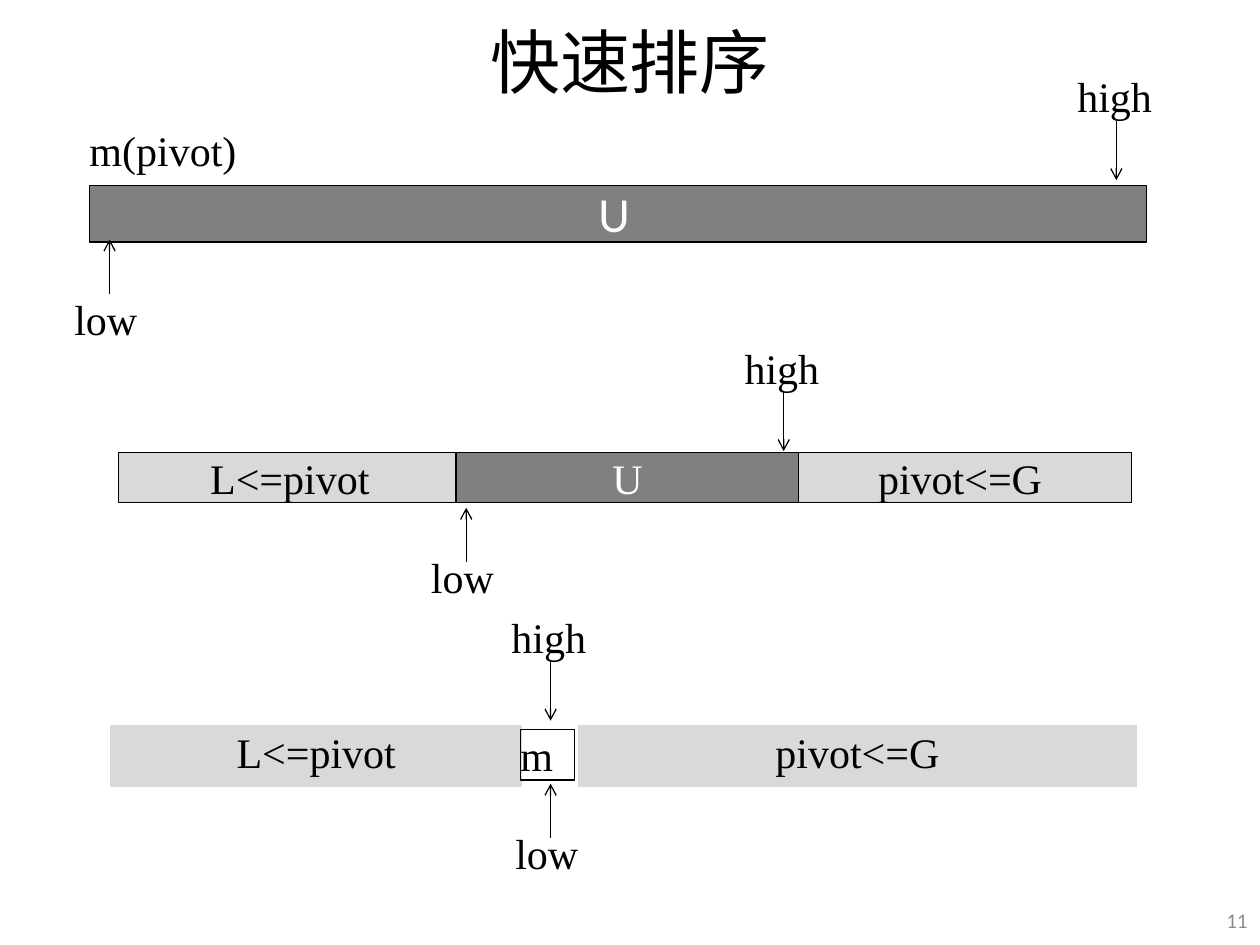
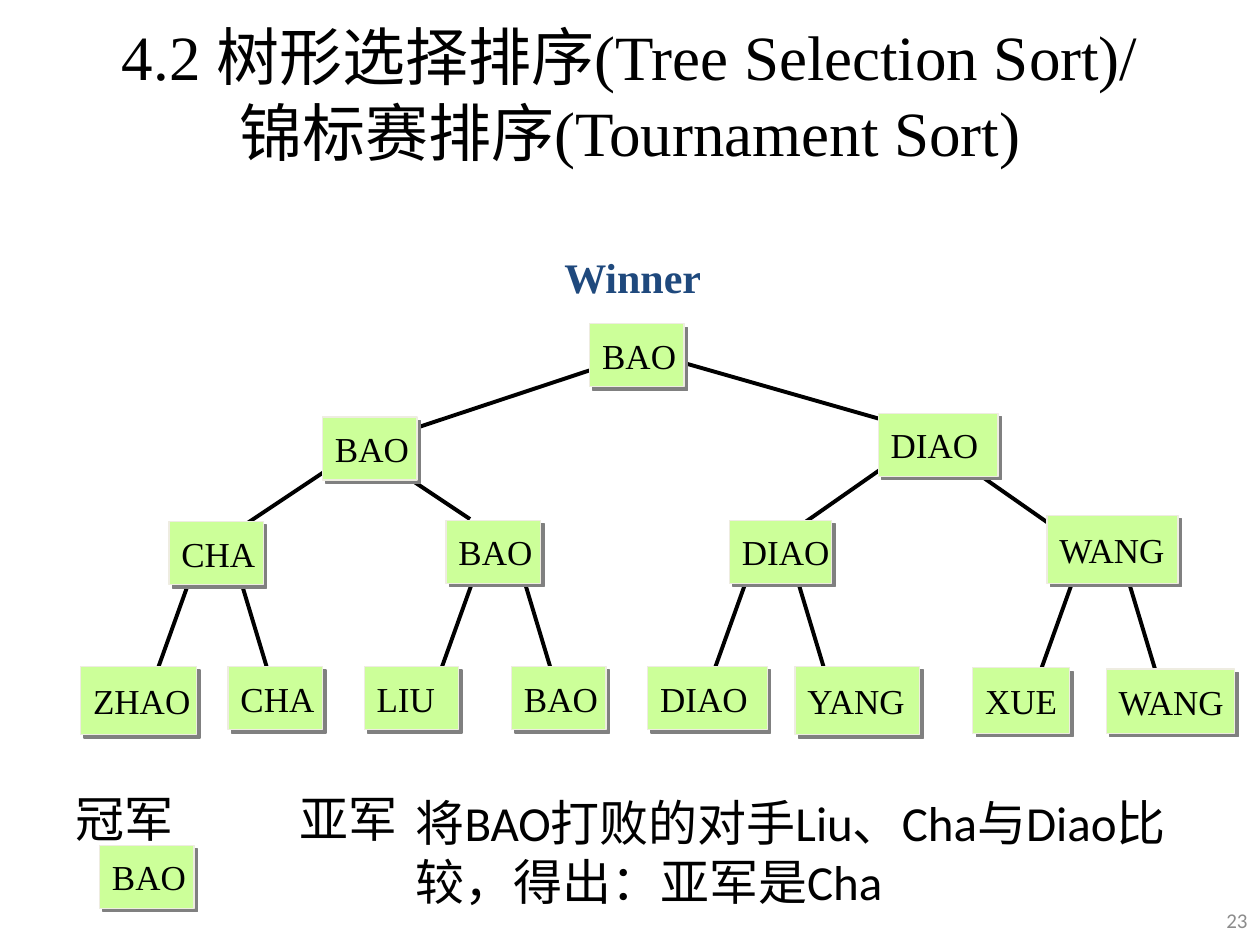
from dataclasses import dataclass

from lxml import etree
from pptx import Presentation
from pptx import util as u
from pptx.dml.color import RGBColor
from pptx.enum import shapes, text
from pptx.oxml.ns import qn

EMU_PER_PX = 9144  # 100 px to the inch


@dataclass(frozen=True)
class Theme:
    serif: str = "Times New Roman"
    sans: str = "Calibri"
    black: str = "000000"
    white: str = "FFFFFF"
    unsorted: str = "808080"
    sorted: str = "D9D9D9"
    node: str = "CCFF99"
    node_border: str = "EEECE1"
    shadow: str = "808080"
    winner: str = "1F497D"
    page_number: str = "8C8C8C"
    label_size: int = 24
    node_size: int = 20
    body_size: int = 28
    page_size: int = 12
    thin: float = 0.75
    thick: float = 2.25


THEME = Theme()

QUICKSORT = {
    "title": "快速排序",
    "title_box": (50, -3, 900, 102),
    "title_size": 40,
    "page": "11",
}
UNSORTED_BAR = (71, 147, 839, 45)
BAR_LABEL = ("U", (465, 141, 45, 57))
PIVOT_LABEL = ("m(pivot)", (71, 99, 138, 40))
# label, arrow x, arrow tip y, label top
POINTERS = [
    ("low", 87, 190, 233),
    ("high", 886, 143, 56),
    ("low", 370, 403, 438),
    ("high", 622, 358, 272),
    ("low", 437, 622, 657),
    ("high", 437, 572, 485),
]
LABEL_SHIFT = {"low": 28, "high": 31}
ARROW_TAIL = {"low": 43, "high": -47}
# text, box, fill, text colour, alignment
SEGMENTS = [
    ("m", (413, 579, 43, 40), None, THEME.black, text.PP_ALIGN.LEFT),
    ("L<=pivot", (94, 359, 272, 40), THEME.sorted, THEME.black, text.PP_ALIGN.CENTER),
    ("pivot<=G", (626, 359, 272, 40), THEME.sorted, THEME.black, text.PP_ALIGN.CENTER),
    ("U", (362, 359, 272, 40), THEME.unsorted, THEME.white, text.PP_ALIGN.CENTER),
]
RESULT_BOX = (87, 575, 816, 44)
# text, column width, fill
RESULT_CELLS = [
    ("L<=pivot", 328, THEME.sorted),
    ("", 43, THEME.white),
    ("pivot<=G", 445, THEME.sorted),
]

TOURNAMENT = {
    "title": "4.2 树形选择排序(Tree Selection Sort)/\v锦标赛排序(Tournament Sort)",
    "title_box": (50, -3, 900, 154),
    "title_size": 36,
    "page": "23",
}
NODES = [
    ("BAO", (468, 257, 75, 50)),
    ("BAO", (256, 331, 75, 50)),
    ("DIAO", (697, 328, 95, 50)),
    ("CHA", (134, 414, 75, 50)),
    ("BAO", (354, 413, 75, 50)),
    ("DIAO", (579, 413, 81, 50)),
    ("WANG", (831, 409, 104, 54)),
    ("ZHAO", (64, 529, 92, 54)),
    ("CHA", (181, 529, 75, 50)),
    ("LIU", (289, 529, 75, 50)),
    ("BAO", (406, 529, 75, 50)),
    ("DIAO", (514, 529, 95, 50)),
    ("YANG", (631, 529, 99, 54)),
    ("XUE", (772, 530, 77, 52)),
    ("WANG", (878, 531, 102, 51)),
    ("BAO", (79, 671, 75, 50)),
]
UPPER_EDGES = [
    ((489, 287), (314, 345)),
    ((539, 287), (714, 337)),
    ((264, 370), (189, 420)),
    ((298, 362), (373, 412)),
    ((714, 362), (631, 420)),
    ((756, 362), (839, 420)),
]
LEAF_FORKS = [(156, 445), (381, 445), (598, 445), (859, 440)]
WINNER = ("Winner", (438, 195, 139, 50))
# text, box, wraps
RESULT_NOTES = [
    ("将BAO打败的对手Liu、Cha与Diao比较，得出：亚军是Cha", (320, 624, 615, 104), True),
    ("冠军", (50, 621, 99, 57), False),
    ("亚军", (228, 621, 99, 57), False),
]


def px(*lengths):
    return [u.Emu(length * EMU_PER_PX) for length in lengths]


def rgb(code):
    return RGBColor.from_string(code)


def write(frame, words, size, font=THEME.serif, color=THEME.black, bold=False,
          align=text.PP_ALIGN.LEFT):
    frame.text = words
    for paragraph in frame.paragraphs:
        paragraph.alignment = align
        for run in paragraph.runs:
            run.font.name = font
            run.font.size = u.Pt(size)
            run.font.bold = bold
            run.font.color.rgb = rgb(color)


def set_frame(frame, margin=None, wrap=True, anchor=text.MSO_ANCHOR.TOP):
    frame.word_wrap = wrap
    frame.vertical_anchor = anchor
    if margin is not None:
        frame.margin_left = frame.margin_right = margin
        frame.margin_top = frame.margin_bottom = margin


def add_label(parent, words, box, size, margin=None, wrap=True,
              anchor=text.MSO_ANCHOR.TOP, **style):
    frame = parent.shapes.add_textbox(*px(*box)).text_frame
    set_frame(frame, margin, wrap, anchor)
    write(frame, words, size, **style)


def add_box(slide, box, fill, border):
    shape = slide.shapes.add_shape(shapes.MSO_SHAPE.RECTANGLE, *px(*box))
    shape.shadow.inherit = False
    if fill:
        shape.fill.solid()
        shape.fill.fore_color.rgb = rgb(fill)
    else:
        shape.fill.background()
    shape.line.color.rgb = rgb(border)
    shape.line.width = u.Pt(THEME.thin)
    return shape


def add_line(parent, start, end, width, arrow=False):
    line = parent.shapes.add_connector(
        shapes.MSO_CONNECTOR.STRAIGHT, *px(*start, *end))
    line.line.color.rgb = rgb(THEME.black)
    line.line.width = u.Pt(width)
    properties = line.element.spPr
    if arrow:
        etree.SubElement(properties.find(qn("a:ln")), qn("a:tailEnd"), type="arrow")
    etree.SubElement(properties, qn("a:effectLst"))


def add_pointer(slide, label, x, tip, label_top):
    """Group an index name with the arrow that marks its place."""
    group = slide.shapes.add_group_shape()
    add_label(group, label, (x - LABEL_SHIFT[label], label_top, 63, 40),
              THEME.label_size, margin=0)
    add_line(group, (x, tip + ARROW_TAIL[label]), (x, tip), THEME.thin, arrow=True)


def add_node(slide, name, box):
    shape = add_box(slide, box, THEME.node, THEME.node_border)
    effects = shape.element.spPr.find(qn("a:effectLst"))
    shadow = etree.SubElement(effects, qn("a:outerShdw"), dist=str(u.Pt(2.8)),
                              dir="2700000", algn="ctr", rotWithShape="0")
    etree.SubElement(shadow, qn("a:srgbClr"), val=THEME.shadow)
    set_frame(shape.text_frame, wrap=False, anchor=text.MSO_ANCHOR.MIDDLE)
    write(shape.text_frame, name, THEME.node_size)


def add_result_table(slide):
    table = slide.shapes.add_table(1, len(RESULT_CELLS), *px(*RESULT_BOX)).table
    for index, (words, width, fill) in enumerate(RESULT_CELLS):
        table.columns[index].width = px(width)[0]
        cell = table.cell(0, index)
        cell.fill.solid()
        cell.fill.fore_color.rgb = rgb(fill)
        write(cell.text_frame, words, THEME.label_size, align=text.PP_ALIGN.CENTER)


def start_slide(presentation, heading):
    """Add a slide with its title and page number."""
    slide = presentation.slides.add_slide(presentation.slide_layouts[5])
    title = slide.shapes.title
    title.left, title.top, title.width, title.height = px(*heading["title_box"])
    set_frame(title.text_frame, anchor=text.MSO_ANCHOR.MIDDLE)
    title.text_frame.auto_size = text.MSO_AUTO_SIZE.NONE
    write(title.text_frame, heading["title"], heading["title_size"],
          align=text.PP_ALIGN.CENTER)
    add_label(slide, heading["page"], (957, 710, 43, 40), THEME.page_size,
              anchor=text.MSO_ANCHOR.MIDDLE, font=THEME.sans,
              color=THEME.page_number, align=text.PP_ALIGN.RIGHT)
    return slide


def build_quicksort(presentation):
    slide = start_slide(presentation, QUICKSORT)
    add_box(slide, UNSORTED_BAR, THEME.unsorted, THEME.black)
    add_label(slide, *BAR_LABEL, THEME.body_size, wrap=False,
              font=THEME.sans, color=THEME.white)
    add_label(slide, *PIVOT_LABEL, THEME.label_size, margin=0)
    add_result_table(slide)
    for words, box, fill, color, align in SEGMENTS:
        frame = add_box(slide, box, fill, THEME.black).text_frame
        set_frame(frame, margin=0)
        write(frame, words, THEME.label_size, color=color, align=align)
    for pointer in POINTERS:
        add_pointer(slide, *pointer)


def build_tournament(presentation):
    slide = start_slide(presentation, TOURNAMENT)
    edges = list(UPPER_EDGES)
    for x, y in LEAF_FORKS:
        edges += [((x, y), (x - 33, y + 92)), ((x + 33, y + 9), (x + 58, y + 92))]
    for start, end in edges:
        add_line(slide, start, end, THEME.thick)
    for name, box in NODES:
        add_node(slide, name, box)
    add_label(slide, *WINNER, THEME.label_size, wrap=False,
              color=THEME.winner, bold=True)
    for words, box, wrap in RESULT_NOTES:
        add_label(slide, words, box, THEME.body_size, wrap=wrap, font=THEME.sans)


def main():
    presentation = Presentation()
    presentation.slide_width, presentation.slide_height = px(1000, 750)
    build_quicksort(presentation)
    build_tournament(presentation)
    presentation.save("out.pptx")


if __name__ == "__main__":
    main()
